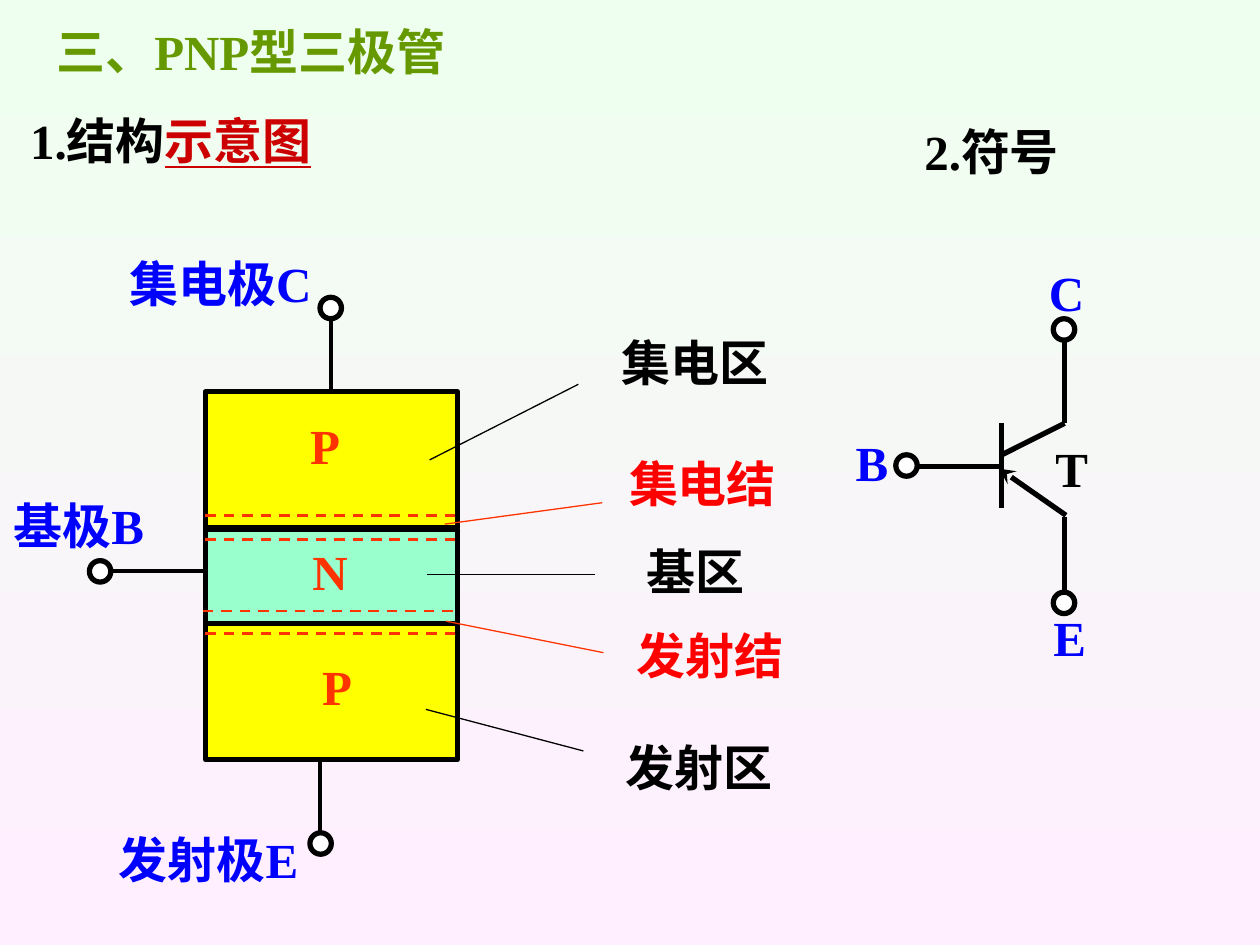
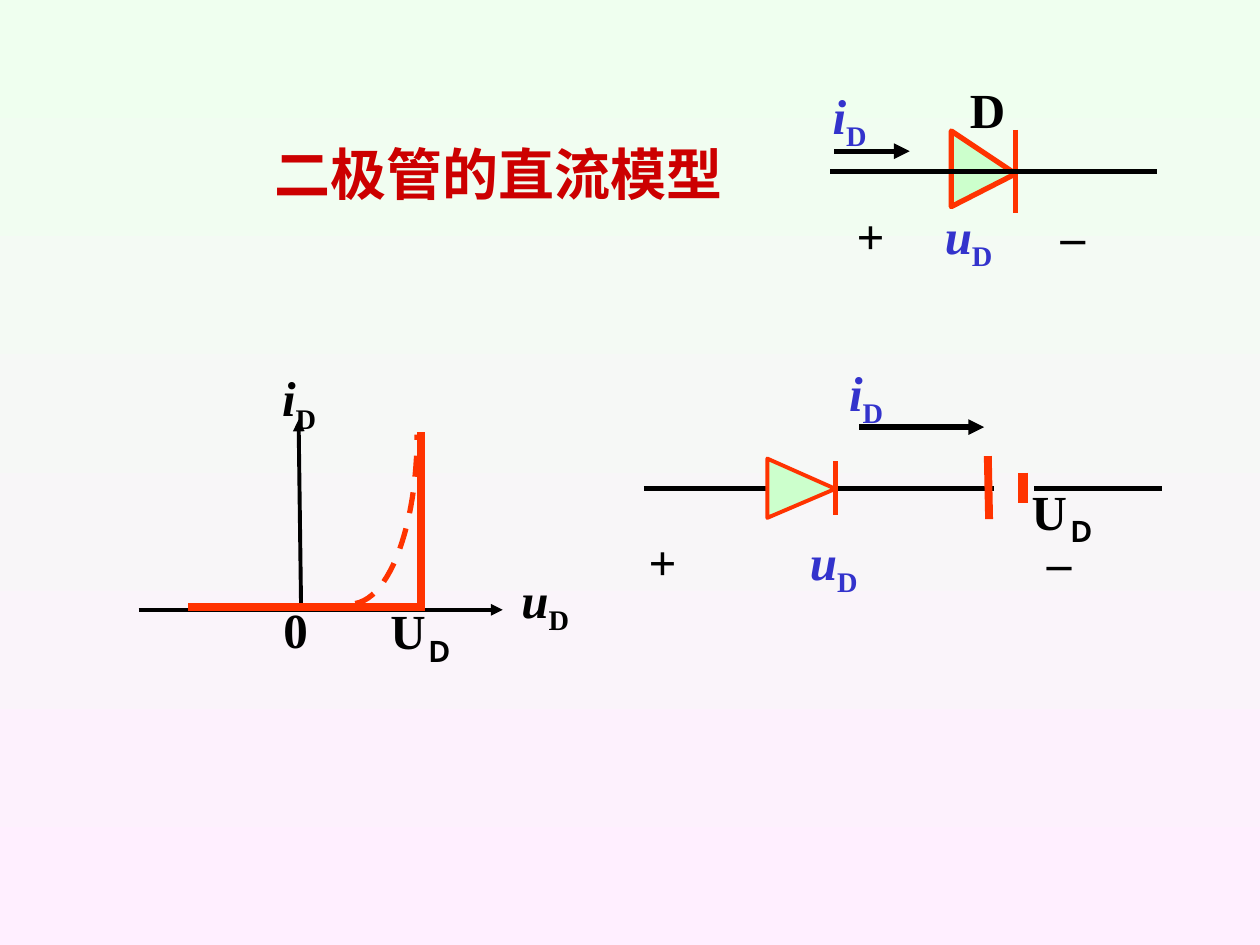
"""Build two slides on the PNP transistor and the DC model of the diode."""
from dataclasses import dataclass
from typing import NamedTuple

from lxml import etree
from pptx import Presentation
from pptx.dml.color import RGBColor
from pptx.enum.dml import MSO_LINE
from pptx.enum.shapes import MSO_CONNECTOR, MSO_SHAPE
from pptx.enum.text import MSO_ANCHOR, MSO_AUTO_SIZE, PP_ALIGN
from pptx.oxml.ns import qn
from pptx.util import Inches, Pt

STRAIGHT = MSO_CONNECTOR.STRAIGHT
RECTANGLE, OVAL = MSO_SHAPE.RECTANGLE, MSO_SHAPE.OVAL
DASH = MSO_LINE.DASH
LEFT, CENTER = PP_ALIGN.LEFT, PP_ALIGN.CENTER
TOP, MIDDLE = MSO_ANCHOR.TOP, MSO_ANCHOR.MIDDLE
TITLE_ONLY = 5
TERMINAL_SIZE = 0.17


@dataclass(frozen=True)
class Theme:
    """Colours, font and type sizes of the deck."""
    black: RGBColor = RGBColor(0, 0, 0)
    white: RGBColor = RGBColor(255, 255, 255)
    blue: RGBColor = RGBColor.from_string("0000FF")
    violet: RGBColor = RGBColor.from_string("3333CC")
    red: RGBColor = RGBColor.from_string("FF0000")
    dark_red: RGBColor = RGBColor.from_string("CC0000")
    orange: RGBColor = RGBColor.from_string("FF3300")
    green: RGBColor = RGBColor.from_string("669900")
    yellow: RGBColor = RGBColor.from_string("FFFF00")
    mint: RGBColor = RGBColor.from_string("99FFCC")
    pale_green: RGBColor = RGBColor.from_string("CCFFCC")
    sky: RGBColor = RGBColor.from_string("EFFFEF")
    ground: RGBColor = RGBColor.from_string("FFEFFF")
    font: str = "Times New Roman"
    text_size: int = 28
    title_size: int = 32


THEME = Theme()


class Span(NamedTuple):
    """A stretch of text in one format."""
    text: str
    color: RGBColor = THEME.black
    italic: bool = False
    underline: bool = False
    subscript: bool = False


class Label(NamedTuple):
    """A centred one-line label and its frame."""
    text: str
    left: float
    top: float
    width: float
    color: RGBColor = THEME.black


class Wire(NamedTuple):
    """A straight line with its format."""
    start: tuple[float, float]
    end: tuple[float, float]
    width: float = 3
    color: RGBColor = THEME.black
    dash: bool = False
    head: str = ""


class Layer(NamedTuple):
    """A semiconductor layer of the transistor."""
    top: float
    height: float
    color: RGBColor


def fill_text(box, spans: list[Span], size: int = THEME.text_size, align=LEFT,
              anchor=TOP, wrap: bool = True, tabs: tuple[float, ...] = ()) -> None:
    """Write formatted spans into the single paragraph of a box."""
    frame = box.text_frame
    frame.auto_size = MSO_AUTO_SIZE.NONE
    frame.word_wrap = wrap
    frame.vertical_anchor = anchor
    para = frame.paragraphs[0]
    para.alignment = align
    if tabs:
        stops = etree.SubElement(para._p.get_or_add_pPr(), qn("a:tabLst"))
        for position in tabs:
            etree.SubElement(stops, qn("a:tab"), pos=str(Inches(position)), algn="l")
    for span in spans:
        run = para.add_run()
        run.text = span.text
        run.font.name = THEME.font
        run.font.size = Pt(size)
        run.font.bold = True
        run.font.italic = span.italic
        run.font.underline = span.underline
        run.font.color.rgb = span.color
        if span.subscript:
            run._r.get_or_add_rPr().set("baseline", "-25000")


def add_text(page, left: float, top: float, width: float, spans: list[Span],
             height: float = 0.57, **text_format) -> None:
    """Add a text box."""
    box = page.shapes.add_textbox(Inches(left), Inches(top), Inches(width), Inches(height))
    fill_text(box, spans, **text_format)


def add_label(page, label: Label) -> None:
    """Add a centred label."""
    add_text(page, label.left, label.top, label.width, [Span(label.text, label.color)],
             align=CENTER, anchor=MIDDLE, wrap=False)


def add_variable(page, left: float, top: float, width: float, letter: str,
                 color: RGBColor = THEME.black) -> None:
    """Add an italic quantity with the subscript D."""
    add_text(page, left, top, width, variable(letter, color), height=0.63)


def variable(letter: str, color: RGBColor) -> list[Span]:
    """Return the spans of an italic quantity with the subscript D."""
    return [Span(letter, color, italic=True), Span("D", color, subscript=True)]


def add_voltage(page, left: float, top: float, width: float) -> None:
    """Add the threshold voltage U with its subscript."""
    add_text(page, left, top, width, [Span("U"), Span("Ｄ", subscript=True)], height=0.63)


def add_polarity(page, left: float, top: float, width: float,
                 tabs: tuple[float, ...]) -> None:
    """Add the diode voltage between its plus and minus signs."""
    name, index = variable("u", THEME.violet)
    spans = [Span("+\t"), name, index, Span("\t–")]
    add_text(page, left, top, width, spans, height=0.63, tabs=tabs)


def add_wires(page, *wires: Wire) -> None:
    """Add straight lines and arrows."""
    for wire in wires:
        points = [Inches(value) for value in (*wire.start, *wire.end)]
        connector = page.shapes.add_connector(STRAIGHT, *points)
        connector.line.color.rgb = wire.color
        connector.line.width = Pt(wire.width)
        if wire.dash:
            connector.line.dash_style = DASH
        properties = connector._element.spPr
        if wire.head:
            etree.SubElement(properties.find(qn("a:ln")), qn("a:tailEnd"), type=wire.head)
        etree.SubElement(properties, qn("a:effectLst"))


def style_shape(shape, fill: RGBColor | None, line: RGBColor, width: float) -> None:
    """Set the fill and outline of a shape."""
    shape.shadow.inherit = False
    if fill is None:
        shape.fill.background()
    else:
        shape.fill.solid()
        shape.fill.fore_color.rgb = fill
    shape.line.color.rgb = line
    shape.line.width = Pt(width)


def add_preset(page, kind, left: float, top: float, width: float, height: float,
               fill: RGBColor) -> None:
    """Add a preset shape with a black outline."""
    frame = [Inches(value) for value in (left, top, width, height)]
    style_shape(page.shapes.add_shape(kind, *frame), fill, THEME.black, 3)


def add_terminals(page, *corners: tuple[float, float]) -> None:
    """Add the open circles at the wire ends."""
    for left, top in corners:
        add_preset(page, OVAL, left, top, TERMINAL_SIZE, TERMINAL_SIZE, THEME.white)


def add_outline(page, points: list[tuple[float, float]], width: float,
                fill: RGBColor | None = None, close: bool = False):
    """Add an orange outline through the points."""
    scaled = [(Inches(x), Inches(y)) for x, y in points]
    builder = page.shapes.build_freeform(*scaled[0])
    builder.add_line_segments(scaled[1:], close=close)
    shape = builder.convert_to_shape()
    style_shape(shape, fill, THEME.orange, width)
    return shape


def add_diode(page, left: float, top: float, tip: tuple[float, float], bottom: float,
              bar: tuple[float, float], width: float) -> None:
    """Add a diode symbol pointing right."""
    add_outline(page, [tip, (left, top), (left, bottom)], width, THEME.pale_green, True)
    add_wires(page, Wire((tip[0], bar[0]), (tip[0], bar[1]), 3, THEME.orange))


def bezier(controls: list[tuple[float, float]], steps: int = 24) -> list[tuple[float, float]]:
    """Return points along a cubic curve."""
    points = []
    for step in range(steps + 1):
        t = step / steps
        weights = ((1 - t) ** 3, 3 * t * (1 - t) ** 2, 3 * t * t * (1 - t), t ** 3)
        points.append(tuple(sum(weight * point[axis] for weight, point in zip(weights, controls))
                            for axis in (0, 1)))
    return points


def add_page(deck, title: str, left: float, top: float, width: float, height: float,
             color: RGBColor, size: int, anchor):
    """Add a slide with a formatted title."""
    page = deck.slides.add_slide(deck.slide_layouts[TITLE_ONLY])
    box = page.shapes.title
    box.left, box.top = Inches(left), Inches(top)
    box.width, box.height = Inches(width), Inches(height)
    fill_text(box, [Span(title, color)], size=size, align=CENTER, anchor=anchor)
    return page


def build_transistor(deck) -> None:
    """Build the slide on the structure and symbol of the PNP transistor."""
    page = add_page(deck, "三、PNP型三极管", 0, 0.12, 3.98, 0.57, THEME.green,
                    THEME.text_size, MIDDLE)
    add_text(page, 0.14, 0.83, 4.02,
             [Span("1.结构"), Span("示意图", THEME.dark_red, underline=True)])
    add_label(page, Label("2.符号", 7.19, 0.91, 1.36))

    add_wires(page, Wire((2.54, 6.03), (2.54, 6.7), 2.25),
              Wire((1.62, 4.53), (0.87, 4.53), 2.25),
              Wire((2.63, 3.11), (2.63, 2.45), 2.25))
    add_terminals(page, (2.54, 2.36), (0.71, 4.45), (2.46, 6.61))
    for layer in (Layer(3.11, 1.08, THEME.yellow), Layer(4.95, 1.08, THEME.yellow),
                  Layer(4.2, 0.75, THEME.mint)):
        add_preset(page, RECTANGLE, 1.63, layer.top, 2, layer.height, layer.color)
    for left, height in ((1.63, 4.09), (1.63, 4.28), (1.63, 5.03), (1.61, 4.85)):
        add_wires(page, Wire((left, height), (left + 2, height), 1.5, THEME.orange, dash=True))

    add_wires(page, Wire((7.95, 3.36), (7.95, 4.03)), Wire((7.95, 3.61), (8.45, 3.36)),
              Wire((8.46, 4.09), (7.93, 3.72), head="stealth"),
              Wire((8.45, 3.36), (8.45, 2.61)), Wire((8.45, 4.1), (8.45, 4.72)),
              Wire((7.95, 3.7), (7.28, 3.7)))
    add_terminals(page, (7.11, 3.61), (8.36, 2.53), (8.36, 4.7))

    for label in (
        Label("集电区", 4.62, 2.59, 1.79), Label("集电结", 4.77, 3.55, 1.61, THEME.red),
        Label("基区", 4.8, 4.25, 1.44), Label("发射结", 4.78, 4.91, 1.71, THEME.red),
        Label("发射区", 4.56, 5.8, 1.98), Label("集电极C", 0.88, 1.96, 1.74, THEME.blue),
        Label("发射极E", 0.8, 6.53, 1.71, THEME.blue),
        Label("基极B", -0.04, 3.88, 1.33, THEME.blue),
        Label("P", 2.36, 3.25, 0.44, THEME.orange), Label("P", 2.41, 5.16, 0.53, THEME.orange),
        Label("N", 2.38, 4.25, 0.48, THEME.orange), Label("C", 8.13, 2.03, 0.67, THEME.blue),
        Label("B", 6.69, 3.38, 0.46, THEME.blue), Label("E", 8.26, 4.77, 0.46, THEME.blue),
        Label("T", 8.03, 3.43, 0.95),
    ):
        add_label(page, label)
    add_wires(page, Wire((3.41, 3.65), (4.59, 3.05), 0.75),
              Wire((3.38, 5.63), (4.63, 5.96), 0.75), Wire((3.39, 4.56), (4.72, 4.56), 0.75),
              Wire((3.53, 4.16), (4.78, 3.99), 0.75, THEME.orange),
              Wire((3.54, 4.93), (4.79, 5.18), 0.75, THEME.orange))


def build_diode_model(deck) -> None:
    """Build the slide on the DC model of the diode."""
    page = add_page(deck, "二极管的直流模型", 1.06, 1.06, 5.8, 0.64, THEME.dark_red,
                    THEME.title_size, TOP)
    add_wires(page, Wire((2.39, 4.84), (2.37, 3.33), 2.25, head="triangle"),
              Wire((1.1, 4.84), (3.99, 4.84), 2.25, head="triangle"))
    add_variable(page, 2.14, 2.87, 0.72, "i")
    add_variable(page, 4.04, 4.47, 0.95, "u")
    curve = add_outline(page, bezier([(2.82, 4.79), (3.1, 4.74), (3.31, 4.15), (3.31, 3.45)]), 3)
    curve.line.dash_style = DASH
    add_wires(page, Wire((3.36, 4.82), (1.49, 4.82), 4.5, THEME.orange),
              Wire((3.34, 3.43), (3.34, 4.85), 4.5, THEME.orange))
    add_text(page, 2.15, 4.71, 0.52, [Span("0")])
    add_voltage(page, 3, 4.72, 0.81)

    add_wires(page, Wire((5.11, 3.88), (7.89, 3.88)),
              Wire((8.12, 3.75), (8.12, 3.99), 6, THEME.orange),
              Wire((8.21, 3.88), (9.22, 3.88)),
              Wire((7.84, 3.62), (7.85, 4.12), 4.5, THEME.orange),
              Wire((6.82, 3.39), (7.81, 3.39), head="triangle"))
    add_voltage(page, 8.09, 3.77, 0.86)
    add_diode(page, 6.09, 3.64, (6.63, 3.88), 4.11, (3.66, 4.09), 2.25)
    add_variable(page, 6.64, 2.83, 1.11, "i", THEME.violet)
    add_polarity(page, 5.05, 4.17, 4.57, (1.28, 3.16))

    add_diode(page, 7.55, 1.04, (8.06, 1.38), 1.64, (1.03, 1.69), 3)
    add_wires(page, Wire((6.62, 1.2), (7.22, 1.2), head="triangle"),
              Wire((6.59, 1.36), (9.18, 1.36)))
    add_variable(page, 6.51, 0.63, 0.67, "i", THEME.violet)
    add_polarity(page, 6.7, 1.58, 2.47, (0.7, 1.62))
    add_text(page, 7.6, 0.58, 0.93, [Span("D")])


def main() -> None:
    """Build and save the deck."""
    deck = Presentation()
    deck.slide_width, deck.slide_height = Inches(10), Inches(7.5)
    backdrop = deck.slide_master.background.fill
    backdrop.gradient()
    backdrop.gradient_angle = 270
    for stop, color in zip(backdrop.gradient_stops, (THEME.sky, THEME.ground)):
        stop.color.rgb = color
    build_transistor(deck)
    build_diode_model(deck)
    deck.save("out.pptx")


if __name__ == "__main__":
    main()
